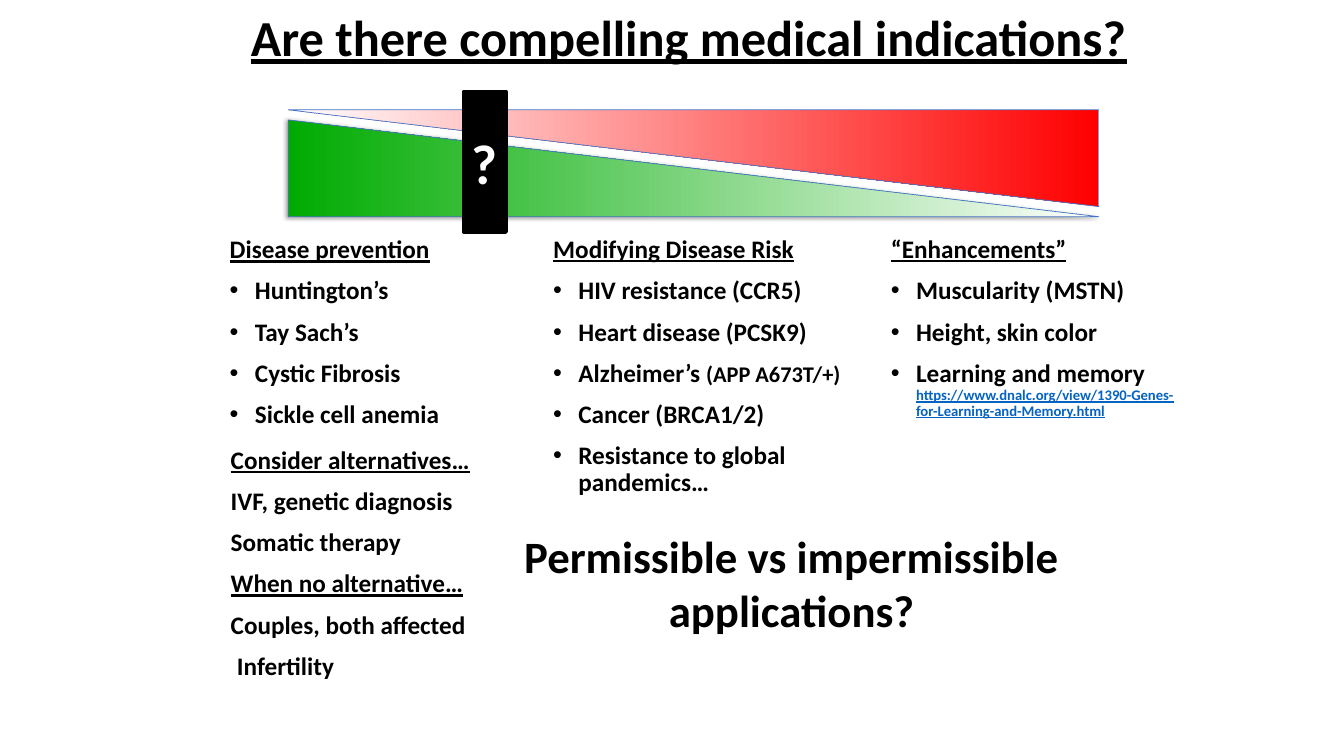
from lxml import etree
from pptx import Presentation
from pptx.dml.color import RGBColor
from pptx.enum.shapes import MSO_SHAPE
from pptx.enum.text import MSO_ANCHOR, PP_ALIGN
from pptx.oxml.ns import qn
from pptx.util import Pt

RECT, TRIANGLE = MSO_SHAPE.RECTANGLE, MSO_SHAPE.RIGHT_TRIANGLE
MIDDLE, CENTER = MSO_ANCHOR.MIDDLE, PP_ALIGN.CENTER

BLACK = RGBColor(0x00, 0x00, 0x00)
WHITE = RGBColor(0xFF, 0xFF, 0xFF)
GREEN = RGBColor(0x00, 0xAB, 0x01)
RED = RGBColor(0xFF, 0x00, 0x00)
OUTLINE = RGBColor(0x44, 0x72, 0xC4)
LINK = RGBColor(0x05, 0x63, 0xC1)

FONT = "Calibri"
COLUMN_TOP = 165.6
BULLET_INDENT = 18

# Left, width, height, heading and bullets of each column
COLUMNS = [
    (157, 205.2, 159.8, "Disease prevention",
     ["Huntington’s", "Tay Sach’s", "Cystic Fibrosis", "Sickle cell anemia"]),
    (388.1, 230.4, 239.8, "Modifying Disease Risk",
     ["HIV resistance (CCR5)", "Heart disease (PCSK9)",
      [("Alzheimer’s ", {}), ("(APP A673T/+)", {"size": 16})],
      "Cancer (BRCA1/2)", "Resistance to global pandemics…"]),
    (629.3, 223.2, 198.7, "“Enhancements”",
     ["Muscularity (MSTN)", "Height, skin color",
      [("Learning and memory ", {}),
       ("https://www.dnalc.org/view/1390-Genes-for-Learning-and-Memory.html",
        {"size": 10.5, "color": LINK, "underline": True})]]),
]

# Text and format of each line below the first column
ALTERNATIVES = [
    ("Consider alternatives…", {"underline": True}),
    ("IVF, genetic diagnosis", {}),
    ("Somatic therapy", {}),
    ("When no alternative…", {"underline": True}),
    ("Couples, both affected", {}),
    ("Infertility", {"indent": 4.5}),
]


def add_run(p, text, size=18, color=BLACK, underline=False):
    r = p.add_run()
    r.text = text
    r.font.name = FONT
    r.font.size = Pt(size)
    r.font.bold = True
    r.font.underline = underline
    r.font.color.rgb = color


def add_paragraph(tf, text, bullet=False, indent=0, align=None,
                  line_spacing=0.9, **font):
    """Write text, or a list of (text, format) runs, as the next paragraph."""
    first = not tf.paragraphs[0].runs
    p = tf.paragraphs[0] if first else tf.add_paragraph()
    p.alignment = align
    p.line_spacing = line_spacing
    p.space_before = Pt(0 if first else 10)
    pPr = p._p.get_or_add_pPr()
    if bullet:
        pPr.set("marL", str(Pt(BULLET_INDENT)))
        pPr.set("indent", str(-Pt(BULLET_INDENT)))
        etree.SubElement(pPr, qn("a:buFont"), typeface="Arial")
        etree.SubElement(pPr, qn("a:buChar"), char="•")
    elif indent:
        pPr.set("marL", str(Pt(indent)))
    runs = [(text, font)] if isinstance(text, str) else text
    for run_text, run_font in runs:
        add_run(p, run_text, **run_font)


def add_box(slide, left, top, width, height, anchor=MSO_ANCHOR.TOP):
    s = slide.shapes.add_textbox(Pt(left), Pt(top), Pt(width), Pt(height))
    tf = s.text_frame
    tf.word_wrap = True
    tf.vertical_anchor = anchor
    return tf


def add_wedge(slide, top, color, flipped=False):
    """Add a right triangle that fades from color to white."""
    s = slide.shapes.add_shape(TRIANGLE, Pt(205.9), Pt(top), Pt(578.9), Pt(69.1))
    s.shadow.inherit = False
    s.fill.gradient()
    s.fill.gradient_angle = 0
    for stop, stop_color in zip(s.fill.gradient_stops, (color, WHITE)):
        stop.color.rgb = stop_color
    s.line.color.rgb = OUTLINE
    s.line.width = Pt(0.5)
    if flipped:
        xfrm = s._element.spPr.find(qn("a:xfrm"))
        xfrm.set("flipH", "1")
        xfrm.set("flipV", "1")
    return s


def add_shadow(s):
    effects = s._element.spPr.find(qn("a:effectLst"))
    shadow = etree.SubElement(effects, qn("a:outerShdw"), blurRad=str(Pt(3.1)),
                              dist=str(Pt(1.8)), dir="10800000",
                              rotWithShape="0")
    color = etree.SubElement(shadow, qn("a:srgbClr"), val=str(BLACK))
    etree.SubElement(color, qn("a:alpha"), val="35000")


def add_marker(slide):
    s = slide.shapes.add_shape(RECT, Pt(331.2), Pt(65.5), Pt(30.2), Pt(100.1))
    s.shadow.inherit = False
    s.fill.solid()
    s.fill.fore_color.rgb = BLACK
    s.line.color.rgb = BLACK
    s.line.width = Pt(3)
    tf = s.text_frame
    tf.margin_left = tf.margin_right = 0
    tf.vertical_anchor = MIDDLE
    add_paragraph(tf, "?", align=CENTER, line_spacing=1, size=40, color=WHITE)


def add_column(slide, left, width, height, heading, bullets):
    tf = add_box(slide, left, COLUMN_TOP, width, height)
    add_paragraph(tf, heading, underline=True)
    for text in bullets:
        add_paragraph(tf, text, bullet=True)


def main():
    prs = Presentation()
    prs.slide_width, prs.slide_height = Pt(960), Pt(540)
    slide = prs.slides.add_slide(prs.slide_layouts[6])

    # Title
    tf = add_box(slide, 172.1, -16.6, 648, 90, anchor=MIDDLE)
    add_paragraph(tf, "Are there compelling medical indications?",
                  size=36, underline=True)

    # Spectrum from green to red
    add_shadow(add_wedge(slide, 85.7, GREEN))
    add_wedge(slide, 78.5, RED, flipped=True)

    # Columns
    for column in COLUMNS:
        add_column(slide, *column)

    # Alternatives
    tf = add_box(slide, 157.7, 316.1, 272.9, 226.8)
    for text, style in ALTERNATIVES:
        add_paragraph(tf, text, **style)

    # Closing question
    tf = add_box(slide, 361.4, 374.4, 408.2, 85)
    add_paragraph(tf, "Permissible vs impermissible applications?",
                  align=CENTER, line_spacing=1, size=32)

    # Question mark over the spectrum
    add_marker(slide)

    prs.save("out.pptx")


if __name__ == "__main__":
    main()
